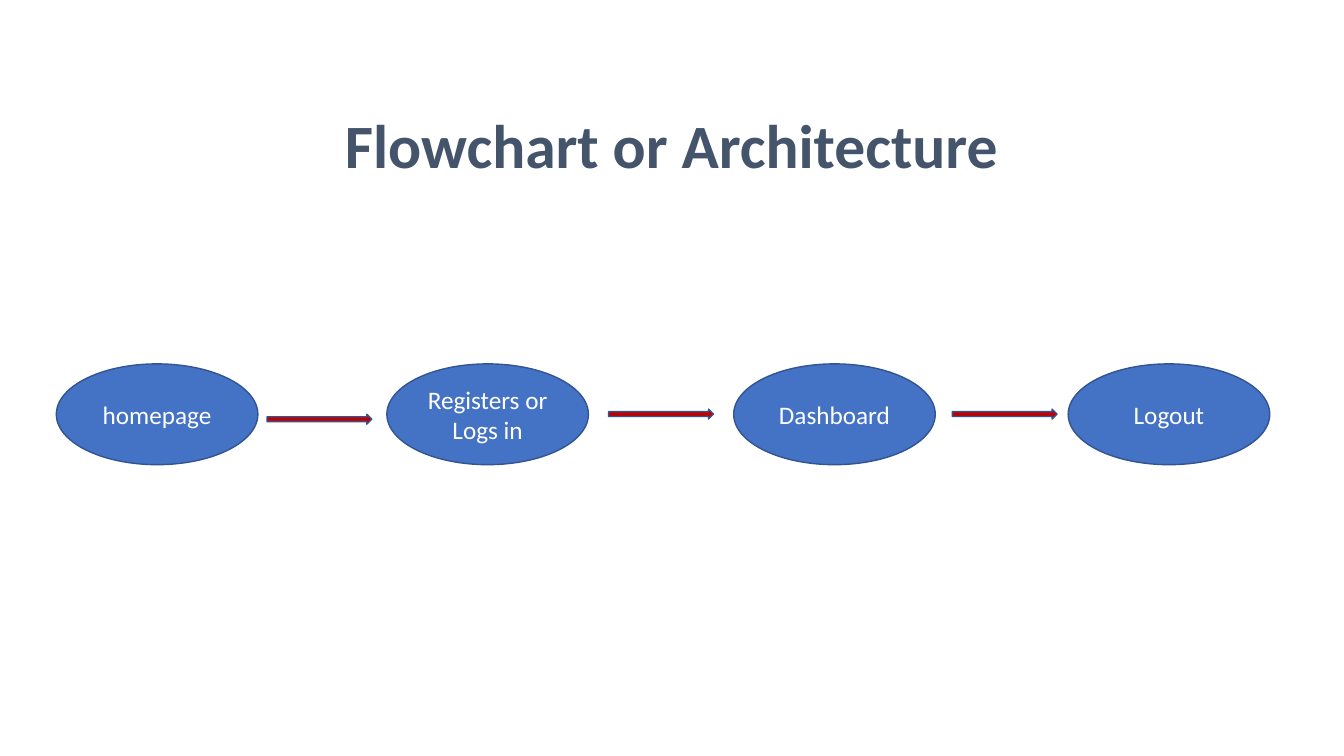
from pptx import Presentation
from pptx.dml.color import RGBColor
from pptx.enum.shapes import MSO_SHAPE as Kind
from pptx.enum.text import MSO_ANCHOR as Anchor, PP_ALIGN as Align
from pptx.util import Cm, Pt

STEPS = [
    ("homepage", 1.42),
    ("Registers or Logs in", 9.75),
    ("Dashboard", 18.49),
    ("Logout", 26.92),
]
ARROWS = [(6.73, 10.44), (15.34, 10.31), (24, 10.31)]


def tint(code):
    return RGBColor.from_string(code)


def write(frame, text, size, color, anchor, bold=False):
    frame.text = text
    frame.word_wrap = True
    frame.vertical_anchor = anchor
    para = frame.paragraphs[0]
    para.alignment = Align.CENTER
    font = para.font
    font.name = "Calibri"
    font.size = Pt(size)
    font.bold = bold
    font.color.rgb = tint(color)


def place(shape, left, top, width, height):
    shape.left, shape.top = Cm(left), Cm(top)
    shape.width, shape.height = Cm(width), Cm(height)


def add_title(slide, text):
    title = slide.shapes.title
    place(title, 6.73, 2.57, 20.4, 2.13)
    write(title.text_frame, text, 44, "44546A", Anchor.TOP, bold=True)
    title.text_frame.paragraphs[0].line_spacing = 1.0
    title.text_frame.paragraphs[0].space_before = Pt(0)


def add_block(slide, kind, left, top, width, height, color):
    shape = slide.shapes.add_shape(
        kind, Cm(left), Cm(top), Cm(width), Cm(height))
    shape.shadow.inherit = False
    shape.fill.solid()
    shape.fill.fore_color.rgb = tint(color)
    shape.line.color.rgb = tint("325491")
    shape.line.width = Pt(1)
    return shape


def add_step(slide, text, left):
    oval = add_block(slide, Kind.OVAL, left, 9.17, 5.08, 2.54, "4472C4")
    write(oval.text_frame, text, 18, "FFFFFF", Anchor.MIDDLE)


def add_arrow(slide, left, top):
    add_block(slide, Kind.RIGHT_ARROW, left, top, 2.64, 0.25, "C00000")


def main():
    deck = Presentation()
    deck.slide_width, deck.slide_height = Cm(33.87), Cm(19.05)
    slide = deck.slides.add_slide(deck.slide_layouts.get_by_name("Title Only"))
    add_title(slide, "Flowchart or Architecture")
    for text, left in STEPS:
        add_step(slide, text, left)
    for left, top in ARROWS:
        add_arrow(slide, left, top)
    deck.save("out.pptx")


if __name__ == "__main__":
    main()
